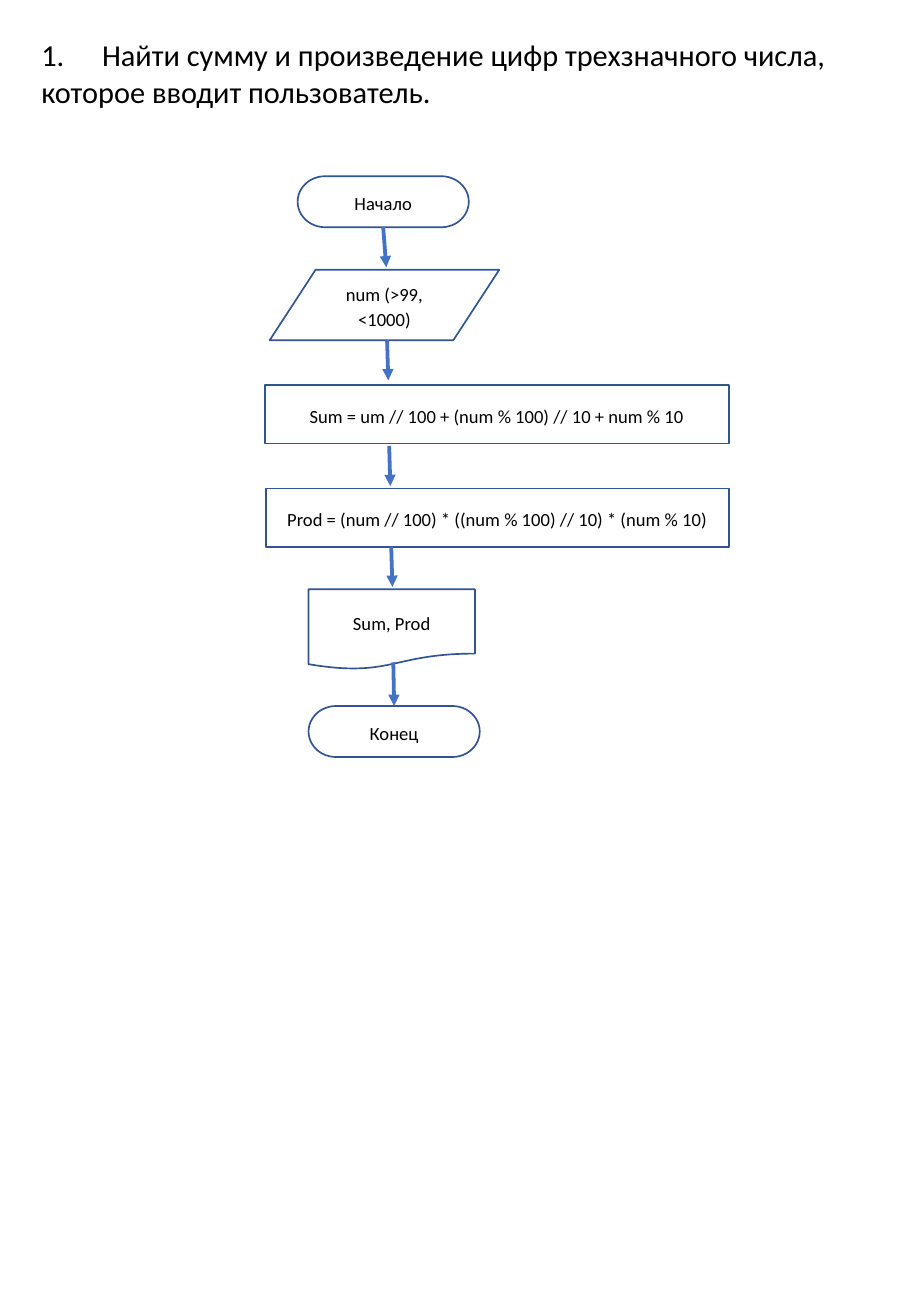
from pptx import Presentation
from pptx.dml.color import RGBColor
from pptx.enum.shapes import MSO_CONNECTOR, MSO_SHAPE
from pptx.enum.text import MSO_ANCHOR, MSO_AUTO_SIZE, PP_ALIGN
from pptx.oxml.ns import qn
from pptx.util import Inches, Pt
from lxml.etree import SubElement

COLORS = {"text": "000000", "paper": "FFFFFF", "outline": "325491", "arrow": "4472C4"}
FONT = "Calibri"
CELL = 0.1
TASK = "1.\tНайти сумму и произведение цифр трехзначного числа, которое вводит пользователь."
TASK_BOX = (2.4, 2.5, 70.1, 7.1)
FLOW_ORIGIN = (21.8, 14.5)
STEPS = [
    (MSO_SHAPE.FLOWCHART_TERMINATOR, "Начало", (2.7, 0, 14.1, 4.2)),
    (MSO_SHAPE.FLOWCHART_DATA, "num (>99, <1000)", (0.4, 7.7, 18.9, 5.8)),
    (MSO_SHAPE.FLOWCHART_PROCESS, "Sum = um // 100 + (num % 100) // 10 + num % 10",
     (0, 17.2, 38.2, 4.8)),
    (MSO_SHAPE.FLOWCHART_PROCESS, "Prod = (num // 100) * ((num % 100) // 10) * (num % 10)",
     (0.1, 25.7, 38.1, 4.8)),
    (MSO_SHAPE.FLOWCHART_DOCUMENT, "Sum, Prod", (3.6, 34, 13.7, 6.6)),
    (MSO_SHAPE.FLOWCHART_TERMINATOR, "Конец", (3.6, 43.6, 14.1, 4.2)),
]
FILLED = {MSO_SHAPE.FLOWCHART_PROCESS, MSO_SHAPE.FLOWCHART_DOCUMENT}
ARROW_ROWS = [4.2, 13.5, 22.2, 30.5, 40]
ARROW_COLUMN, ARROW_DRIFT, ARROW_LENGTH = 9.9, 0.17, 3.3


def cells(*counts):
    """Turn grid counts into lengths."""
    return [Inches(count * CELL) for count in counts]


def color(name):
    """Look up a named colour."""
    return RGBColor.from_string(COLORS[name])


def style_text(paragraph, size, alignment):
    """Format a paragraph and its runs."""
    paragraph.alignment = alignment
    for span in paragraph.runs:
        span.font.name = FONT
        span.font.size = Pt(size)
        span.font.color.rgb = color("text")


def add_task(page, box):
    """Put the task wording in the title placeholder."""
    title = page.shapes.title
    title.left, title.top, title.width, title.height = cells(*box)
    frame = title.text_frame
    frame.text = TASK
    frame.word_wrap = True
    frame.vertical_anchor = MSO_ANCHOR.TOP
    frame.auto_size = MSO_AUTO_SIZE.SHAPE_TO_FIT_TEXT
    style_text(frame.paragraphs[0], 18, PP_ALIGN.LEFT)


def add_step(page, kind, wording, box):
    """Draw one flowchart block with its wording."""
    step = page.shapes.add_shape(kind, *cells(*box))
    step.shadow.inherit = False
    if kind in FILLED:
        step.fill.solid()
        step.fill.fore_color.rgb = color("paper")
    else:
        step.fill.background()
    step.line.color.rgb = color("outline")
    step.line.width = Pt(1)
    frame = step.text_frame
    frame.text = wording
    frame.word_wrap = True
    frame.vertical_anchor = MSO_ANCHOR.MIDDLE
    paragraph = frame.paragraphs[0]
    paragraph.line_spacing = 1.15
    paragraph.space_after = Pt(10)
    style_text(paragraph, 11, PP_ALIGN.CENTER)
    return step


def add_arrow(page, column, row):
    """Draw one downward arrow from a grid point."""
    ends = cells(column, row, column + 0.1, row + ARROW_LENGTH)
    arrow = page.shapes.add_connector(MSO_CONNECTOR.STRAIGHT, *ends)
    arrow.line.color.rgb = color("arrow")
    arrow.line.width = Pt(2.25)
    SubElement(arrow.line._get_or_add_ln(), qn("a:tailEnd"), type="triangle")
    SubElement(arrow._element.spPr, qn("a:effectLst"))
    return arrow


def add_flowchart(page, origin):
    """Lay out the blocks and arrows from the given corner."""
    left, top = origin
    steps = [
        add_step(page, kind, wording, (left + column, top + row, width, height))
        for kind, wording, (column, row, width, height) in STEPS
    ]
    arrows = [
        add_arrow(page, left + ARROW_COLUMN + ARROW_DRIFT * index, top + row)
        for index, row in enumerate(ARROW_ROWS)
    ]
    arrows[0].begin_connect(steps[0], 2)
    arrows[-1].end_connect(steps[-1], 0)


def main():
    """Build the deck and save it."""
    deck = Presentation()
    deck.slide_width, deck.slide_height = Inches(7.5), Inches(10.83)
    page = deck.slides.add_slide(deck.slide_layouts[5])
    add_task(page, TASK_BOX)
    add_flowchart(page, FLOW_ORIGIN)
    deck.save("out.pptx")


if __name__ == "__main__":
    main()
